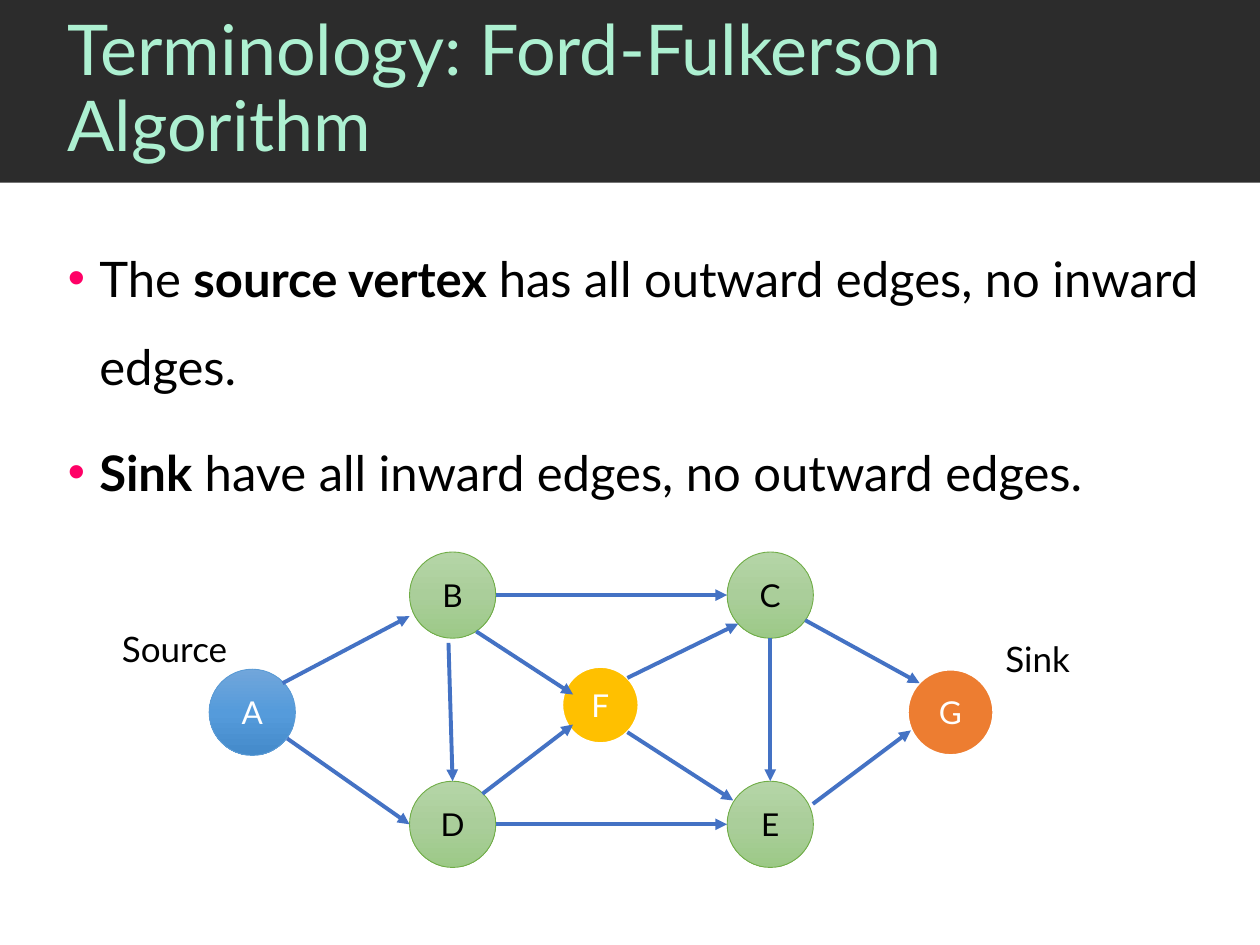
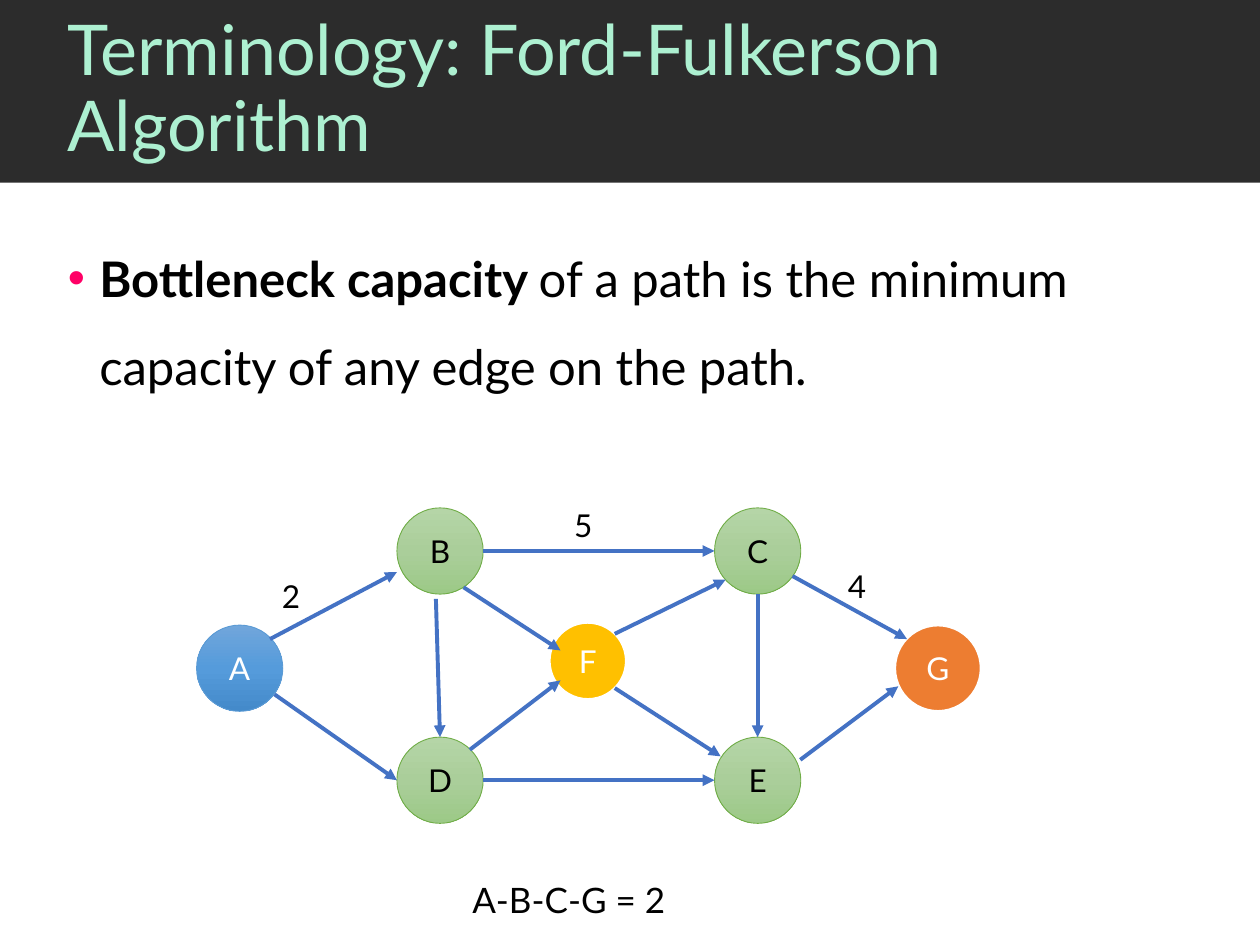
"""Builds two slides on Ford-Fulkerson terminology: source, sink and bottleneck capacity."""
from copy import deepcopy
from dataclasses import dataclass

from lxml import etree
from pptx import Presentation
from pptx.dml import color
from pptx.enum import shapes, text
from pptx.oxml import ns
from pptx.util import Pt

FONT = "Lato"
BLACK, WHITE = "000000", "FFFFFF"
BAND, TITLE_TEXT, BULLET, EDGE = "2C2C2C", "ADF0D1", "FF0066", "4472C4"
TITLE = "Terminology: Ford-Fulkerson Algorithm"
MARGIN = 31.7
NODE_SIZE = 49.3


@dataclass(frozen=True)
class Look:
    """Fill stops, outline and letter colour of a vertex."""
    fills: tuple[str, ...]
    outline: str
    outline_width: float
    letter: str


@dataclass(frozen=True)
class Vertex:
    """A lettered circle, placed from the graph's corner."""
    name: str
    left: float
    top: float
    look: Look
    size: float = NODE_SIZE


@dataclass(frozen=True)
class Edge:
    """An arrow, placed from the graph's corner."""
    x1: float
    y1: float
    x2: float
    y2: float


@dataclass(frozen=True)
class Label:
    """A short free text."""
    words: str
    left: float
    top: float
    width: float
    size: float = 20


@dataclass(frozen=True)
class Bullet:
    """A bullet made of (words, is bold) pieces."""
    pieces: tuple[tuple[str, bool], ...]


@dataclass(frozen=True)
class Page:
    """What differs from slide to slide."""
    bullets: tuple[Bullet, ...]
    body_height: float
    graph_corner: tuple[float, float]
    labels: tuple[Label, ...]


START = Look(("71A6DB", "559BDB", "448ACA"), "5B9BD5", 0.5, WHITE)
INNER = Look(("B5D5A7", "AACE9A", "9CC987"), "70AD47", 0.5, BLACK)
HUB = Look(("FFC000",), WHITE, 1.5, WHITE)
END = Look(("ED7D31",), WHITE, 1.5, WHITE)

WEST, EAST, SOUTH, MIDDLE = 114.5, 296, 131, 67
HALF = NODE_SIZE / 2

VERTICES = (
    Vertex("A", 0, MIDDLE, START),
    Vertex("C", EAST, 0, INNER),
    Vertex("E", EAST, SOUTH, INNER),
    Vertex("D", WEST, SOUTH, INNER),
    Vertex("G", 399, MIDDLE, END),
    Vertex("B", WEST, 0, INNER),
    Vertex("F", 201.6, 65.5, HUB, 44),
)

EDGES = (
    Edge(42, 75, WEST, 36.7),
    Edge(152.6, 45.4, 208, 81.5),
    Edge(239, 72, 302.4, 41),
    Edge(156.2, 138.2, 208, 98.6),
    Edge(345, 144, 401, 102),
    *(Edge(WEST + NODE_SIZE, row + HALF, EAST, row + HALF) for row in (0, SOUTH)),
    Edge(239, 103, 299.5, 142),
    Edge(44.6, 106.6, WEST, SOUTH + HALF),
    Edge(340.6, 39, 406, 75),
    Edge(136.8, 52, WEST + HALF, SOUTH),
    Edge(EAST + HALF, NODE_SIZE, EAST + HALF, SOUTH),
)

PAGES = (
    Page(
        (
            Bullet((("The ", False), ("source vertex ", True),
                    ("has all outward edges, no inward edges.", False))),
            Bullet((("Sink", True),
                    (" have all inward edges, no outward edges.", False))),
        ),
        188, (119.5, 315.4),
        (Label("Source", 62.6, 355, 78.5), Label("Sink", 567.4, 360.7, 78.5)),
    ),
    Page(
        (
            Bullet((("Bottleneck capacity ", True),
                    ("of a path is the minimum capacity of any edge on the path.", False))),
        ),
        147.6, (112.3, 290.2),
        (
            Label("2", 154, 326.2, 26.6, 18),
            Label("5", 321, 285.8, 26.6, 18),
            Label("4", 477.4, 320.4, 26.6, 18),
            Label("A-B-C-G = 2", 262.8, 498.2, 147),
        ),
    ),
)


def rgb(code: str) -> color.RGBColor:
    """Turn a hex string into a colour."""
    return color.RGBColor.from_string(code)


def style(paragraph, size: float, code: str) -> None:
    """Set the font of a whole paragraph."""
    paragraph.font.name = FONT
    paragraph.font.size = Pt(size)
    paragraph.font.color.rgb = rgb(code)


def add_frame(slide, left: float, top: float, width: float, height: float):
    """Add a wrapping text box and return its text frame."""
    frame = slide.shapes.add_textbox(Pt(left), Pt(top), Pt(width), Pt(height)).text_frame
    frame.word_wrap = True
    return frame


def add_band(slide) -> None:
    """Draw the dark band behind the title."""
    band = slide.shapes.add_shape(shapes.MSO_SHAPE.RECTANGLE, 0, 0, Pt(720), Pt(104.4))
    band.shadow.inherit = False
    band.fill.solid()
    band.fill.fore_color.rgb = rgb(BAND)
    band.line.fill.background()


def add_title(slide) -> None:
    """Write the title on the band."""
    frame = add_frame(slide, MARGIN, 0, 688.3, 103.7)
    frame.vertical_anchor = text.MSO_ANCHOR.MIDDLE
    heading = frame.paragraphs[0]
    heading.text = TITLE
    heading.line_spacing = 0.9
    style(heading, 40, TITLE_TEXT)


def add_marker(paragraph) -> None:
    """Give a paragraph a hanging coloured bullet."""
    properties = paragraph._p.get_or_add_pPr()
    properties.set("marL", str(Pt(18)))
    properties.set("indent", str(-Pt(18)))
    tint = etree.SubElement(properties, ns.qn("a:buClr"))
    etree.SubElement(tint, ns.qn("a:srgbClr"), val=BULLET)
    etree.SubElement(properties, ns.qn("a:buFont"), typeface="Arial")
    etree.SubElement(properties, ns.qn("a:buChar"), char="•")


def add_body(slide, page: Page) -> None:
    """Write the bullets of a page."""
    frame = add_frame(slide, MARGIN, 121.7, 671.8, page.body_height)
    for index, bullet in enumerate(page.bullets):
        paragraph = frame.add_paragraph() if index else frame.paragraphs[0]
        add_marker(paragraph)
        paragraph.line_spacing = 1.5
        if index:
            paragraph.space_before = Pt(10)
        style(paragraph, 28, BLACK)
        for words, bold in bullet.pieces:
            run = paragraph.add_run()
            run.text = words
            if bold:
                run.font.bold = True


def paint(circle, fills: tuple[str, ...]) -> None:
    """Fill a circle with one colour or a top-down gradient of three."""
    if len(fills) == 1:
        circle.fill.solid()
        circle.fill.fore_color.rgb = rgb(fills[0])
        return
    circle.fill.gradient()
    circle.fill.gradient_angle = 270
    stop_list = circle._element.spPr.find(".//" + ns.qn("a:gsLst"))
    stop_list.append(deepcopy(stop_list[0]))
    for index, (stop, code) in enumerate(zip(circle.fill.gradient_stops, fills)):
        stop.position = index / (len(fills) - 1)
        stop.color.rgb = rgb(code)


def add_vertex(slide, vertex: Vertex, corner: tuple[float, float]) -> None:
    """Draw a lettered circle."""
    circle = slide.shapes.add_shape(
        shapes.MSO_SHAPE.OVAL, Pt(corner[0] + vertex.left), Pt(corner[1] + vertex.top),
        Pt(vertex.size), Pt(vertex.size))
    circle.shadow.inherit = False
    paint(circle, vertex.look.fills)
    circle.line.color.rgb = rgb(vertex.look.outline)
    circle.line.width = Pt(vertex.look.outline_width)
    circle.text_frame.vertical_anchor = text.MSO_ANCHOR.MIDDLE
    letter = circle.text_frame.paragraphs[0]
    letter.text = vertex.name
    letter.alignment = text.PP_ALIGN.CENTER
    style(letter, 18, vertex.look.letter)


def add_edge(slide, edge: Edge, corner: tuple[float, float]) -> None:
    """Draw an arrow between two vertices."""
    x, y = corner
    arrow = slide.shapes.add_connector(
        shapes.MSO_CONNECTOR.STRAIGHT, Pt(x + edge.x1), Pt(y + edge.y1),
        Pt(x + edge.x2), Pt(y + edge.y2))
    arrow.line.color.rgb = rgb(EDGE)
    arrow.line.width = Pt(2.25)
    etree.SubElement(arrow.line._get_or_add_ln(), ns.qn("a:tailEnd"), type="triangle")
    etree.SubElement(arrow._element.spPr, ns.qn("a:effectLst"))


def add_label(slide, label: Label) -> None:
    """Write a free label."""
    frame = add_frame(slide, label.left, label.top, label.width, label.size * 1.2 + 7.2)
    frame.auto_size = text.MSO_AUTO_SIZE.SHAPE_TO_FIT_TEXT
    frame.paragraphs[0].text = label.words
    style(frame.paragraphs[0], label.size, BLACK)


def main() -> None:
    """Build and save the slides."""
    deck = Presentation()
    deck.slide_width, deck.slide_height = Pt(720), Pt(540)
    for page in PAGES:
        slide = deck.slides.add_slide(deck.slide_layouts[6])
        add_band(slide)
        add_body(slide, page)
        add_title(slide)
        for vertex in VERTICES:
            add_vertex(slide, vertex, page.graph_corner)
        for edge in EDGES:
            add_edge(slide, edge, page.graph_corner)
        for label in page.labels:
            add_label(slide, label)
    deck.save("out.pptx")


if __name__ == "__main__":
    main()
